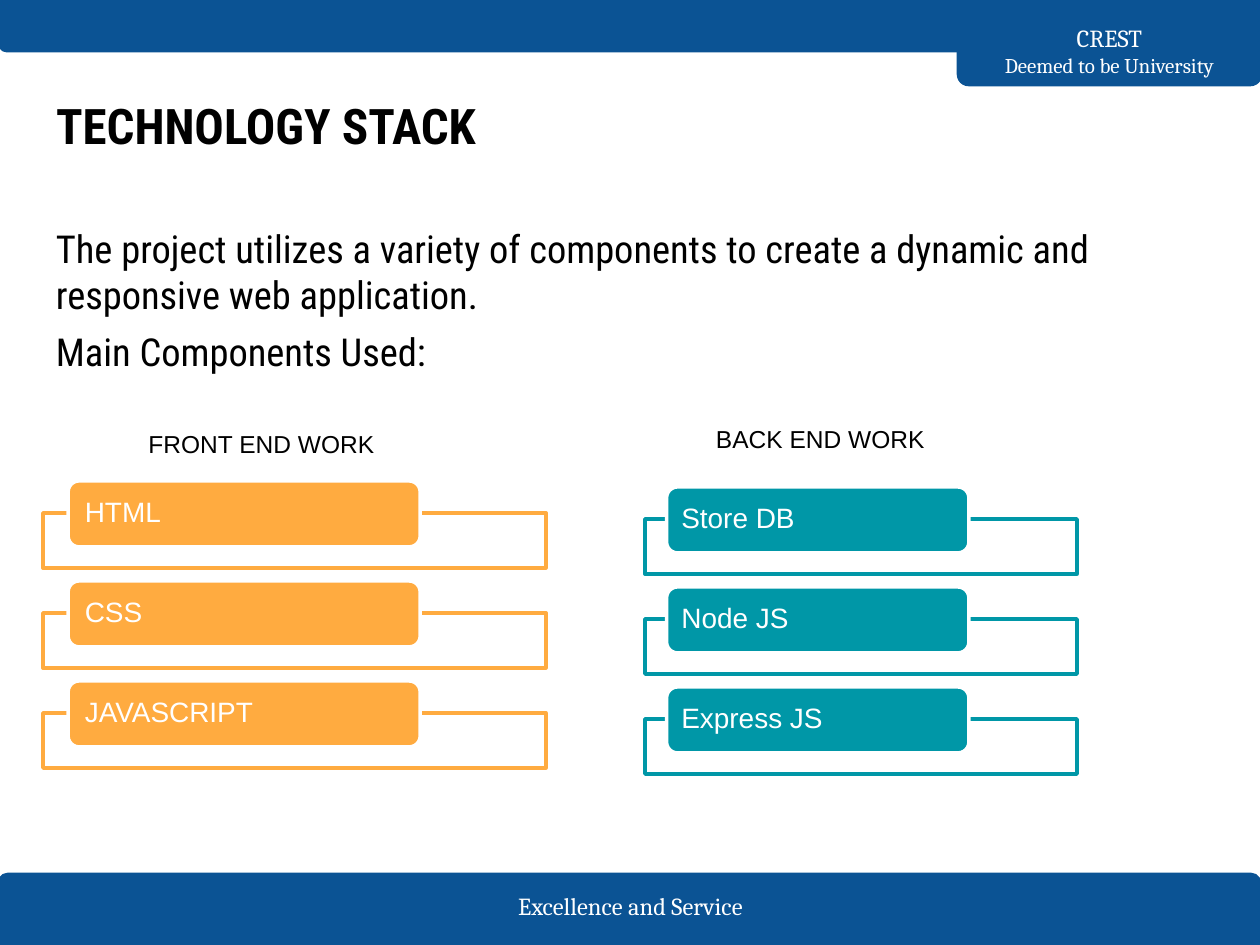
from dataclasses import dataclass

from lxml import etree
from pptx import Presentation, util as u
from pptx.dml.color import RGBColor
from pptx.enum import shapes, text
from pptx.oxml.ns import qn

PX = 914400 / 126
PAGE = (1260, 945)


@dataclass(frozen=True)
class Theme:
    """Colours, fonts and type sizes."""
    band: str = "0B5394"
    front: str = "FFAB40"
    back: str = "0097A7"
    white: str = "FFFFFF"
    black: str = "000000"
    serif: str = "Cambria"
    sans: str = "Arial"
    head: str = "Roboto Condensed"
    title: int = 28
    body: int = 22
    item: int = 16
    label: int = 14
    small: int = 12
    line: float = 2
    edge: float = 1.5


T = Theme()


def emu(px):
    """Turn px into EMU."""
    return u.Emu(round(px * PX))


def style_text(sp, font, sizes, color, align=text.PP_ALIGN.LEFT,
               anchor=text.MSO_ANCHOR.TOP, inset=(13, 13), bold=False):
    """Format a text frame; sizes go to runs in turn, the last one repeating."""
    tf = sp.text_frame
    tf.word_wrap, tf.auto_size = True, text.MSO_AUTO_SIZE.NONE
    tf.vertical_anchor = anchor
    tf.margin_left = tf.margin_right = emu(inset[0])
    tf.margin_top = tf.margin_bottom = emu(inset[1])
    for p in tf.paragraphs:
        p.alignment = align
        for i, r in enumerate(p.runs):
            r.font.name, r.font.bold = font, bold
            r.font.size = u.Pt(sizes[min(i, len(sizes) - 1)])
            r.font.color.rgb = RGBColor.from_string(color)
    return tf


def add_text(s, box, content, font, sizes, color, **options):
    """Add a text box whose paragraphs are split at newlines."""
    sp = s.shapes.add_textbox(*map(emu, box))
    sp.text_frame.text = content
    return style_text(sp, font, sizes, color, **options)


def add_block(s, kind, box, fill, line, width):
    """Add a filled and outlined preset shape."""
    sp = s.shapes.add_shape(kind, *map(emu, box))
    sp.shadow.inherit = False
    sp.fill.solid()
    sp.fill.fore_color.rgb = RGBColor.from_string(fill)
    sp.line.color.rgb = RGBColor.from_string(line)
    sp.line.width = u.Pt(width)
    return sp


def add_band(s, box, rotation=0):
    """Add a bar with two rounded corners."""
    sp = add_block(s, shapes.MSO_SHAPE.ROUND_2_SAME_RECTANGLE, box,
                   T.band, T.band, T.edge)
    sp.adjustments[0], sp.adjustments[1] = 0.125, 0
    sp.rotation = rotation


def add_header(s, x, y, w, h):
    """Add the top bar and the name tab at its right end."""
    tab_x, tab_w = x + w - 303, 303
    add_band(s, (tab_x, y, tab_w, 85), 180)
    add_band(s, (x, y, w, h), 180)
    add_text(s, (tab_x, y + 34, tab_w, 32), "CREST\vDeemed to be University",
             T.serif, (T.label, T.small), T.white,
             align=text.PP_ALIGN.CENTER, anchor=text.MSO_ANCHOR.MIDDLE)


def add_footer(s, x, y, w, h):
    """Add the bottom bar with its motto."""
    add_band(s, (x, y, w, h))
    add_text(s, (x + 462, y + 12, 339, 40), "Excellence and Service",
             T.serif, (T.label,), T.white,
             align=text.PP_ALIGN.CENTER, anchor=text.MSO_ANCHOR.MIDDLE)


def add_title(s, x, y, w, h):
    """Place the title placeholder."""
    sp = s.shapes.title
    sp.left, sp.top, sp.width, sp.height = map(emu, (x, y, w, h))
    sp.text_frame.text = "TECHNOLOGY STACK"
    style_text(sp, T.head, (T.title,), T.black, bold=True)


def add_intro(s, x, y, w, h):
    """Add the introductory paragraphs."""
    tf = add_text(s, (x, y, w, h),
                  "The project utilizes a variety of components to create a "
                  "dynamic and responsive web application.\n"
                  "Main Components Used:", T.head, (T.body,), T.black)
    for p in tf.paragraphs:
        p.space_after = u.Pt(6)


def add_stack(s, x, y, w, h, color, items):
    """Add open frames, each with a named pill over its top edge."""
    pitch = h / len(items)
    for i, item in enumerate(items):
        top = y + i * pitch
        frame = add_block(s, shapes.MSO_SHAPE.RECTANGLE, (x, top + 32, w, 55),
                          T.white, color, T.line)
        rgb = frame.fill._xPr.find(qn("a:solidFill")).find(qn("a:srgbClr"))
        etree.SubElement(rgb, qn("a:alpha"), val="90000")
        pill = add_block(s, shapes.MSO_SHAPE.ROUNDED_RECTANGLE,
                         (x + w * 0.05, top, w * 0.7, 66),
                         color, T.white, T.line)
        pill.text_frame.text = item
        tf = style_text(pill, T.sans, (T.item,), T.white,
                        anchor=text.MSO_ANCHOR.MIDDLE, inset=(w * 0.027, 0))
        tf.paragraphs[0].line_spacing = 0.9


def main():
    """Build the slide and save it."""
    prs = Presentation()
    prs.slide_width, prs.slide_height = map(emu, PAGE)
    s = prs.slides.add_slide(prs.slide_layouts[5])
    add_footer(s, -1, 874, 1261, 71)
    add_header(s, 0, 0, 1261, 51)
    add_title(s, 43, 82, 1174, 105)
    add_intro(s, 43, 212, 1174, 627)
    add_stack(s, 43, 481, 503, 300, T.front, ("HTML", "CSS", "JAVASCRIPT"))
    add_text(s, (24, 423, 475, 43), "FRONT END WORK", T.sans, (T.label,),
             T.black, align=text.PP_ALIGN.CENTER, inset=(13, 6))
    add_stack(s, 645, 487, 432, 300, T.back,
              ("Store DB", "Node JS", "Express JS"))
    add_text(s, (703, 418, 375, 43), "BACK END WORK", T.sans, (T.label,),
             T.black, inset=(13, 6))
    prs.save("out.pptx")


if __name__ == "__main__":
    main()
